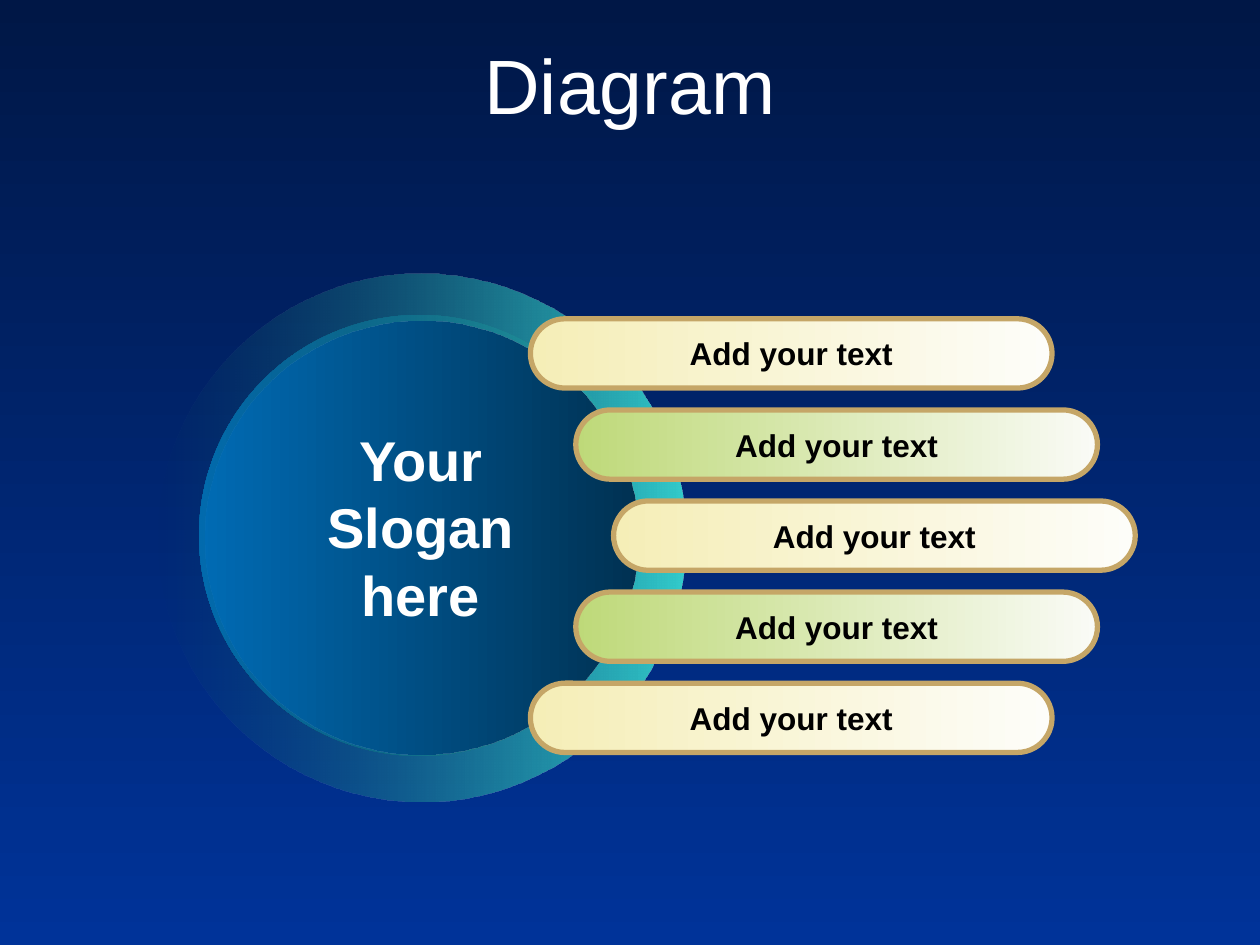
from pptx import Presentation
from pptx.dml.color import RGBColor
from pptx.enum.shapes import MSO_SHAPE as Shape
from pptx.enum.text import MSO_ANCHOR as Anchor, MSO_AUTO_SIZE as Fit, PP_ALIGN as Align
from pptx.oxml.ns import qn
from pptx.util import Inches, Pt
from lxml.etree import SubElement

COLS, ROWS = 100, 75


def tint(code):
    return RGBColor.from_string(code)


def blend(fill, first, last, angle=180):
    """Two-stop gradient; the angle runs counter-clockwise."""
    fill.gradient()
    fill.gradient_angle = angle
    for stop, code in zip(fill.gradient_stops, (first, last)):
        stop.color.rgb = tint(code)


def write(frame, text, size=18, color="000000", bold=True, wrap=False, fit=Fit.NONE,
          anchor=Anchor.MIDDLE):
    frame.auto_size = fit
    frame.word_wrap = wrap
    frame.vertical_anchor = anchor
    frame.text = text
    for par in frame.paragraphs:
        par.alignment = Align.CENTER
        font = par.font
        font.name, font.size, font.bold = "Arial", Pt(size), bold
        font.color.rgb = tint(color)


class Deck:
    """Holds the style and the current slide; places are in grid columns and rows."""
    white, edge = "FFFFFF", "C5A667"
    cream, green = ("FDFDF9", "F5EEB7"), ("FAFBF6", "BED979")

    def __init__(self):
        self.prs = Presentation()
        self.prs.slide_width, self.prs.slide_height = Inches(10), Inches(7.5)
        self.slide = self.prs.slides.add_slide(self.prs.slide_layouts[6])
        blend(self.slide.background.fill, "001746", "003399", angle=270)

    def place(self, col, row, wide, high):
        unit_x, unit_y = self.prs.slide_width / COLS, self.prs.slide_height / ROWS
        return [int(n * u) for n, u in
                ((col, unit_x), (row, unit_y), (wide, unit_x), (high, unit_y))]

    def shape(self, kind, box, colors, adjust=None):
        item = self.slide.shapes.add_shape(kind, *self.place(*box))
        item.shadow.inherit = False
        blend(item.fill, *colors)
        item.line.fill.background()
        if adjust is not None:
            item.adjustments[0] = adjust
        return item

    def ring(self, box, colors):
        """Donut that fades out towards its last color."""
        item = self.shape(Shape.DONUT, box, colors, 0.089)
        last = list(item.element.spPr.iter(qn("a:srgbClr")))[-1]
        SubElement(last, qn("a:alpha")).set("val", "0")

    def pill(self, box, colors, text):
        item = self.shape(Shape.ROUNDED_RECTANGLE, box, colors, 0.5)
        item.line.color.rgb = tint(self.edge)
        item.line.width = Pt(3)
        write(item.text_frame, text)

    def label(self, box, text, **style):
        item = self.slide.shapes.add_textbox(*self.place(*box))
        write(item.text_frame, text, color=self.white, **style)


def main():
    deck = Deck()
    deck.shape(Shape.OVAL, (15.8, 25, 35, 35), ("003152", "006BB4"))
    deck.label((0, 2.5, 100, 8.3), "Diagram", size=44, bold=False, wrap=True)
    deck.ring((12.5, 21.7, 41.9, 41.9), ("33CCCC", "175E5E"))
    for i, left in enumerate((42.1, 45.7, 48.7, 45.7, 42.1)):
        colors = deck.green if i % 2 else deck.cream
        deck.pill((left, 25.3 + 7.23 * i, 41.4, 5.5), colors, "Add your text")
    deck.label((25, 33.3, 16.8, 17), "Your\nSlogan\nhere", size=32,
               fit=Fit.SHAPE_TO_FIT_TEXT, anchor=Anchor.TOP)
    deck.prs.save("out.pptx")


if __name__ == "__main__":
    main()
